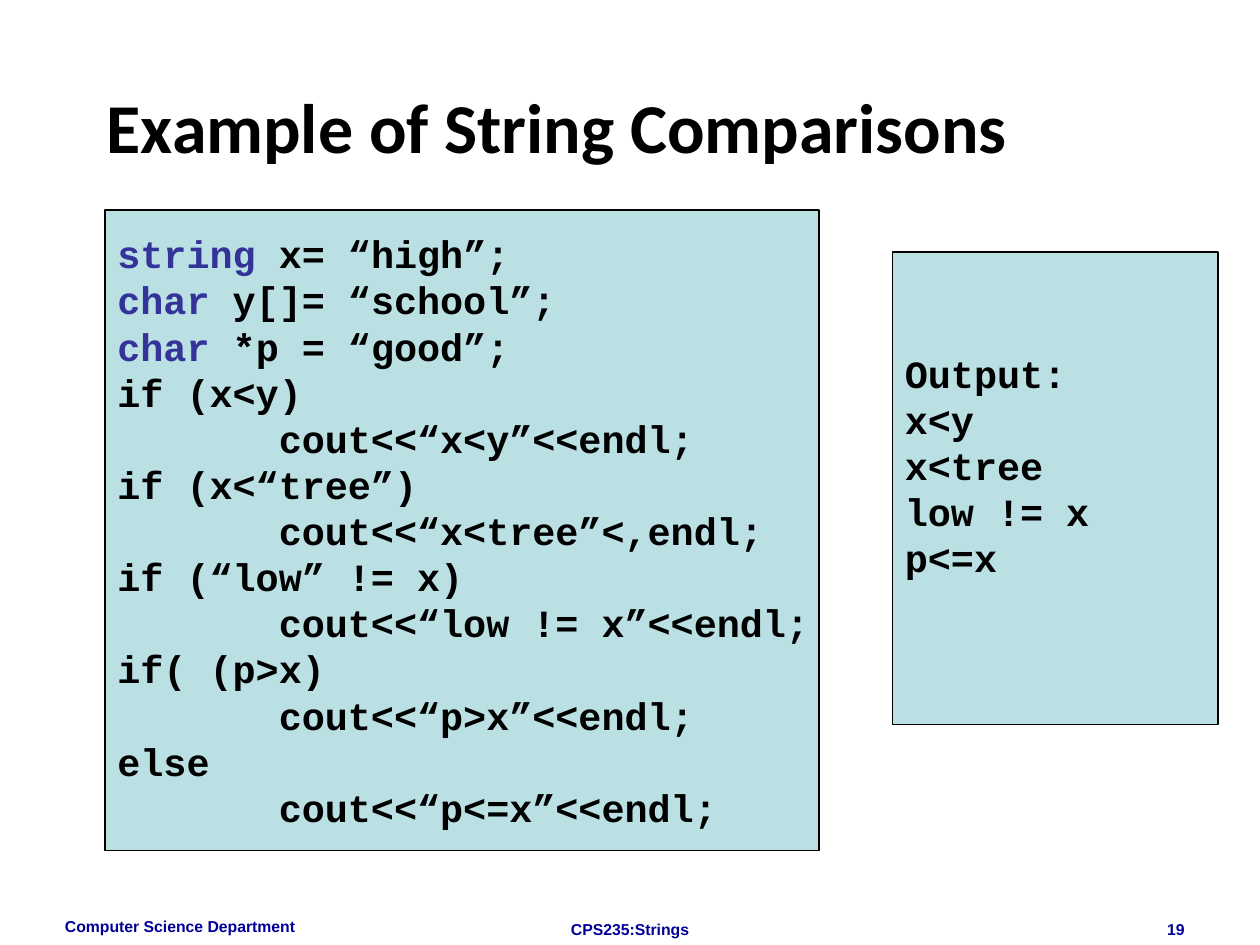
import pptx
import pptx.dml.color
import pptx.enum.shapes
import pptx.enum.text
import pptx.util

Pt = pptx.util.Pt
RGBColor = pptx.dml.color.RGBColor
Align = pptx.enum.text.PP_ALIGN
Anchor = pptx.enum.text.MSO_ANCHOR

BLACK = RGBColor(0x00, 0x00, 0x00)
NAVY = RGBColor(0x00, 0x00, 0x99)
KEYWORD = RGBColor(0x33, 0x33, 0x99)
PANEL = RGBColor(0xBB, 0xE0, 0xE3)

CODE_SIZE = 22
CODE_LINE = 26.35
TYPES = ("string", "char")

CODE = """string x= “high”;
char y[]= “school”;
char *p = “good”;
if (x<y)
       cout<<“x<y”<<endl;
if (x<“tree”)
       cout<<“x<tree”<,endl;
if (“low” != x)
       cout<<“low != x”<<endl;
if( (p>x)
       cout<<“p>x”<<endl;
else
       cout<<“p<=x”<<endl;"""

OUTPUT = """Output:
x<y
x<tree
low != x
p<=x"""


def add_run(paragraph, text, font_name, size, color):
    run = paragraph.add_run()
    run.text = text
    run.font.name = font_name
    run.font.size = Pt(size)
    run.font.bold = True
    run.font.color.rgb = color


def add_label(slide, bounds, text, font_name, size, color,
              alignment=Align.LEFT, anchor=Anchor.TOP):
    shape = slide.shapes.add_textbox(*map(Pt, bounds))
    frame = shape.text_frame
    frame.word_wrap = True
    frame.vertical_anchor = anchor
    paragraph = frame.paragraphs[0]
    paragraph.alignment = alignment
    add_run(paragraph, text, font_name, size, color)


def add_code_line(paragraph, line):
    paragraph.alignment = Align.JUSTIFY
    paragraph.line_spacing = Pt(CODE_LINE)
    word, space, rest = line.partition(" ")
    if word in TYPES:
        add_run(paragraph, word, "Courier New", CODE_SIZE, KEYWORD)
        line = space + rest
    add_run(paragraph, line, "Courier New", CODE_SIZE, BLACK)


def add_code_panel(slide, bounds, code, bottom_inset=3.6):
    shape = slide.shapes.add_shape(
        pptx.enum.shapes.MSO_SHAPE.RECTANGLE, *map(Pt, bounds))
    shape.shadow.inherit = False
    shape.fill.solid()
    shape.fill.fore_color.rgb = PANEL
    shape.line.color.rgb = BLACK
    shape.line.width = Pt(0.75)
    frame = shape.text_frame
    frame.word_wrap = False
    frame.vertical_anchor = Anchor.MIDDLE
    frame.margin_bottom = Pt(bottom_inset)
    for index, line in enumerate(code.splitlines()):
        paragraph = frame.add_paragraph() if index else frame.paragraphs[0]
        add_code_line(paragraph, line)


def main():
    presentation = pptx.Presentation()
    presentation.slide_width = Pt(720)
    presentation.slide_height = Pt(540)
    slide = presentation.slides.add_slide(presentation.slide_layouts[6])

    add_label(slide, (54, 48, 612, 48), "Example of String Comparisons",
              "Calibri", 40, BLACK, anchor=Anchor.MIDDLE)
    add_code_panel(slide, (60, 120, 408, 366), CODE)
    add_code_panel(slide, (510, 144, 186, 270), OUTPUT,
                   bottom_inset=3.6 + CODE_LINE)

    footers = (
        ((30, 520.5, 168, 19.5), "Computer Science Department", Align.LEFT),
        ((246, 522, 228, 7.2), "CPS235:Strings", Align.CENTER),
        ((516, 522, 168, 7.2), "19", Align.RIGHT),
    )
    for bounds, text, alignment in footers:
        add_label(slide, bounds, text, "Arial", 9, NAVY, alignment)

    presentation.save("out.pptx")


if __name__ == "__main__":
    main()
